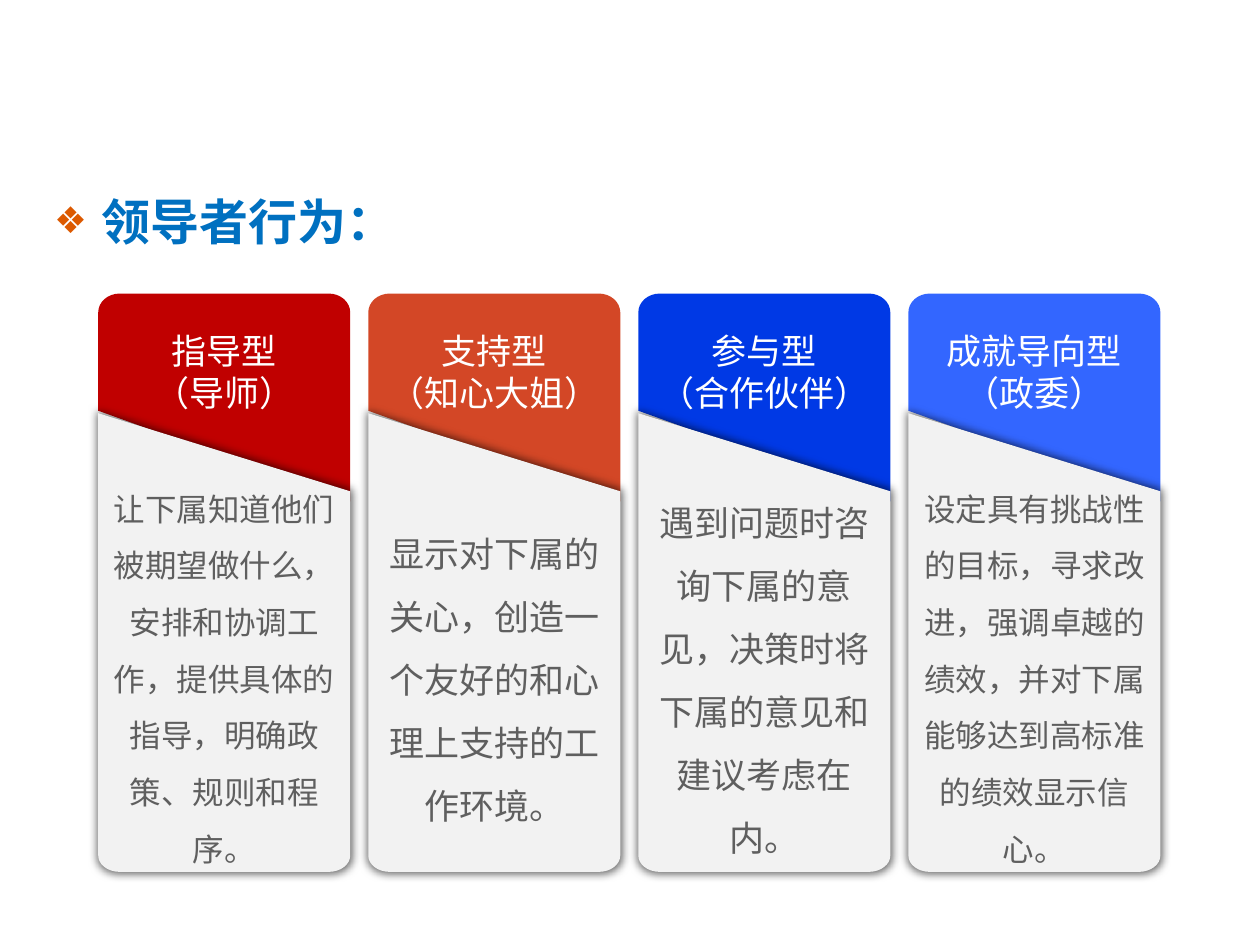
from math import cos, pi, sin

from lxml.etree import SubElement
from pptx import Presentation
from pptx.dml.color import RGBColor
from pptx.enum.text import MSO_ANCHOR as Anchor, PP_ALIGN as Align
from pptx.oxml.ns import qn
from pptx.util import Inches, Pt

RED = RGBColor(0xC0, 0x00, 0x00)
ORANGE = RGBColor(0xD3, 0x47, 0x26)
BLUE = RGBColor(0x00, 0x39, 0xE5)
LIGHT_BLUE = RGBColor(0x33, 0x66, 0xFF)
HEADING_BLUE = RGBColor(0x00, 0x70, 0xC0)
BULLET_ORANGE = RGBColor(0xDC, 0x59, 0x00)
PANEL_GRAY = RGBColor(0xF2, 0xF2, 0xF2)
TEXT_GRAY = RGBColor(0x5F, 0x5F, 0x5F)
WHITE = RGBColor(0xFF, 0xFF, 0xFF)
SHADOW_BLACK = RGBColor(0x00, 0x00, 0x00)

CJK_FONT = "Noto Sans CJK SC"
CORNER_WIDTH = 0.17
FIRST_LEFT, LAST_LEFT = 0.78, 7.21
CARDS = [
    (RED, ["指导型", "（导师）"], 18,
     "让下属知道他们被期望做什么，安排和协调工作，提供具体的指导，明确政策、规则和程序。"),
    (ORANGE, ["支持型", "（知心大姐）"], 20,
     "显示对下属的关心，创造一个友好的和心理上支持的工作环境。"),
    (BLUE, ["参与型", "（合作伙伴）"], 20,
     "遇到问题时咨询下属的意见，决策时将下属的意见和建议考虑在内。"),
    (LIGHT_BLUE, ["成就导向型", "（政委）"], 18,
     "设定具有挑战性的目标，寻求改进，强调卓越的绩效，并对下属能够达到高标准的绩效显示信心。"),
]


def add_element(parent, tag, **attributes):
    return SubElement(parent, qn(tag), attributes)


def style_paragraph(para, font_name, size, color, bold=False):
    font = para.font
    font.name = font_name
    font.size = Pt(size)
    font.bold = bold
    font.color.rgb = color
    properties = para._p.pPr
    properties.set("hangingPunct", "0")
    add_element(properties.find(qn("a:defRPr")), "a:ea", typeface=CJK_FONT)


def corner(center_x, center_y, radius_y, start, steps=8):
    angles = [start + pi / 2 * step / steps for step in range(steps + 1)]
    return [(center_x + CORNER_WIDTH * cos(angle), center_y + radius_y * sin(angle))
            for angle in angles]


def add_outline(shapes, points, fill):
    first, *rest = [(Inches(x), Inches(y)) for x, y in points]
    builder = shapes.build_freeform(*first)
    builder.add_line_segments(rest, close=True)
    shape = builder.convert_to_shape()
    shape.shadow.inherit = False
    shape.fill.solid()
    shape.fill.fore_color.rgb = fill
    shape.line.fill.background()
    return shape


def fill_text(shape, lines, insets, font_name, size, color, spacing=1.0):
    frame = shape.text_frame
    frame.word_wrap = True
    frame.vertical_anchor = Anchor.MIDDLE
    (frame.margin_left, frame.margin_top,
     frame.margin_right, frame.margin_bottom) = map(Inches, insets)
    frame.text = "\n".join(lines)
    for para in frame.paragraphs:
        para.alignment = Align.CENTER
        para.line_spacing = spacing
        style_paragraph(para, font_name, size, color)


def add_soft_shadow(shape):
    effects = shape._element.spPr.find(qn("a:effectLst"))
    shadow = add_element(effects, "a:outerShdw", blurRad=str(Pt(5)), dist="0",
                         dir="0", sx="101000", sy="101000", algn="ctr",
                         rotWithShape="0")
    color = add_element(shadow, "a:srgbClr", val=str(SHADOW_BLACK))
    add_element(color, "a:alpha", val="60000")


def add_card(page, left, top, width, height, card):
    color, title_lines, body_size, body_text = card
    right, bottom = left + width, top + height
    near, far = left + CORNER_WIDTH, right - CORNER_WIDTH
    top_radius, bottom_radius = 0.15, 0.13
    group = page.shapes.add_group_shape()

    header_points = (corner(near, top + top_radius, top_radius, pi)
                     + corner(far, top + top_radius, top_radius, 3 * pi / 2)
                     + [(right, top + 1.65), (left, top + 0.93)])
    header = add_outline(group.shapes, header_points, color)
    fill_text(header, title_lines, (0.1, 0.05, 0.1, 0.47), "Arial", 20, WHITE)

    panel_points = ([(left, top + 0.95), (right, top + 1.57)]
                    + corner(far, bottom - bottom_radius, bottom_radius, 0)
                    + corner(near, bottom - bottom_radius, bottom_radius, pi / 2))
    panel = add_outline(group.shapes, panel_points, PANEL_GRAY)
    add_soft_shadow(panel)
    fill_text(panel, [body_text], (0.08, 0.47, 0.08, 0.05), CJK_FONT,
              body_size, TEXT_GRAY, 1.5)


def add_heading(page, left, top, width, height):
    title, body = page.shapes.title, page.placeholders[1]
    title._element.getparent().remove(title._element)
    body.left, body.top, body.width, body.height = map(
        Inches, (left, top, width, height))
    para = body.text_frame.paragraphs[0]
    para.text = "领导者行为："
    properties = para._p.get_or_add_pPr()
    bullet_color = add_element(properties, "a:buClr")
    add_element(bullet_color, "a:srgbClr", val=str(BULLET_ORANGE))
    add_element(properties, "a:buSzPct", val="75000")
    add_element(properties, "a:buFont", typeface="Arial")
    add_element(properties, "a:buChar", char="❖")
    style_paragraph(para, CJK_FONT, 28, HEADING_BLUE, bold=True)


def main():
    deck = Presentation()
    deck.slide_width, deck.slide_height = Inches(10), Inches(7.5)
    page = deck.slides.add_slide(deck.slide_layouts[1])
    add_heading(page, 0.33, 1.47, 9.34, 4.59)
    pitch = (LAST_LEFT - FIRST_LEFT) / (len(CARDS) - 1)
    for index, card in enumerate(CARDS):
        add_card(page, FIRST_LEFT + pitch * index, 2.33, 2, 4.59, card)
    deck.save("out.pptx")


if __name__ == "__main__":
    main()
